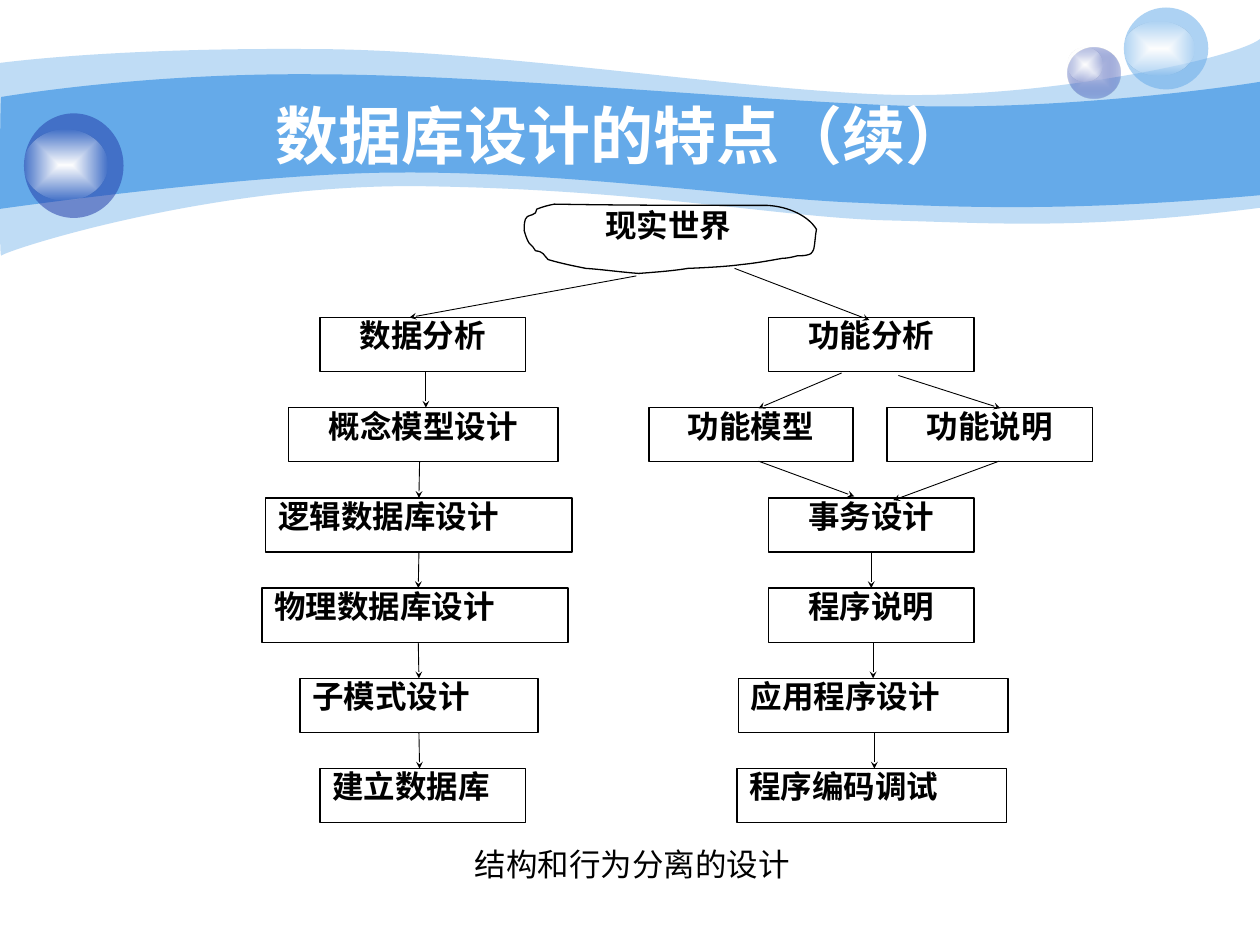
from lxml import etree
from pptx import Presentation
from pptx.dml.color import RGBColor
from pptx.enum.shapes import MSO_CONNECTOR as Conn, MSO_SHAPE as Shape
from pptx.enum.text import MSO_ANCHOR as Anchor, PP_ALIGN as Align
from pptx.oxml import parse_xml
from pptx.oxml.ns import qn
from pptx.util import Inches, Pt

BLUE = RGBColor(0x65, 0xAA, 0xE9)
NAVY = RGBColor(0x23, 0x3D, 0xA9)
LILAC = RGBColor(0xC7, 0xCE, 0xE9)
WHITE = RGBColor(0xFF, 0xFF, 0xFF)
BLACK = RGBColor(0, 0, 0)
DRAWING_NS = "http://schemas.openxmlformats.org/drawingml/2006/main"

# Curves: a start point, then cubic segments (six numbers) or straight ones (two).
OUTER_WAVE = ((0, 0.5), [
    (0.24, 0.47, 1.07, 0.38, 2.47, 0.39), (3.86, 0.39, 5.75, 0.7, 6.99, 0.75),
    (8.22, 0.8, 9.8, 0.47, 10, 0.31), (10, 1.65),
    (8.58, 1.83, 7.87, 1.77, 7.05, 1.75), (6.22, 1.73, 5.15, 1.51, 3.43, 1.48),
    (1.72, 1.44, 0.04, 1.99, 0.01, 2.03), (-0.01, 2.08, 0, 0.75, 0, 0.5)])
INNER_WAVE = ((0.01, 0.77), [
    (0.02, 0.77, 1.1, 0.58, 2.48, 0.59), (3.86, 0.59, 5.95, 0.8, 7.18, 0.84),
    (8.41, 0.88, 9.76, 0.69, 10, 0.65), (10, 1.55),
    (8.53, 1.68, 7.65, 1.65, 6.82, 1.61), (5.99, 1.58, 4.47, 1.36, 3.17, 1.37),
    (2.03, 1.37, -0.02, 1.66, -0.01, 1.66), (0, 1.66, 0, 0.77, 0.01, 0.77)])
CLOUD = ((4.26, 1.66), [
    (4.31, 1.64, 4.35, 1.63, 4.4, 1.62), (4.96, 1.63, 5.53, 1.63, 6.09, 1.63),
    (6.27, 1.64, 6.42, 1.72, 6.48, 1.82), (6.47, 1.87, 6.47, 1.92, 6.46, 1.97),
    (6.46, 1.98, 6.44, 2.02, 6.42, 2.02), (6.39, 2.03, 6.36, 2.03, 6.33, 2.03),
    (6.29, 2.04, 6.25, 2.05, 6.21, 2.05), (6.1, 2.07, 5.99, 2.09, 5.88, 2.1),
    (5.74, 2.12, 5.46, 2.13, 5.46, 2.13), (5.34, 2.15, 5.2, 2.16, 5.07, 2.17),
    (4.93, 2.16, 4.79, 2.14, 4.65, 2.13), (4.55, 2.11, 4.45, 2.09, 4.35, 2.06),
    (4.31, 2.02, 4.32, 2, 4.25, 1.99), (4.24, 1.98, 4.24, 1.97, 4.23, 1.96),
    (4.22, 1.95, 4.21, 1.94, 4.2, 1.93), (4.18, 1.9, 4.17, 1.86, 4.16, 1.83),
    (4.16, 1.8, 4.16, 1.77, 4.17, 1.74), (4.19, 1.7, 4.21, 1.72, 4.25, 1.69),
    (4.26, 1.68, 4.26, 1.67, 4.26, 1.66)])

ROW_TOP, ROW_PITCH, BOX_HEIGHT = 2.52, 0.716, 0.43
# Each box: text, row, left, width, alignment.
DATA_COLUMN = [
    ("数据分析", 0, 2.54, 1.63, Align.CENTER),
    ("概念模型设计", 1, 2.29, 2.14, Align.CENTER),
    ("逻辑数据库设计", 2, 2.11, 2.43, Align.JUSTIFY),
    ("物理数据库设计", 3, 2.08, 2.43, Align.JUSTIFY),
    ("子模式设计", 4, 2.38, 1.89, Align.JUSTIFY),
    ("建立数据库", 5, 2.54, 1.63, Align.JUSTIFY)]
DATA_ARROWS = [3.38, 3.33, 3.32, 3.32, 3.33]
FUNCTION_SPLIT = [
    ("功能分析", 0, 6.1, 1.63, Align.CENTER),
    ("功能模型", 1, 5.15, 1.62, Align.CENTER),
    ("功能说明", 1, 7.04, 1.63, Align.CENTER)]
FUNCTION_COLUMN = [
    ("事务设计", 2, 6.1, 1.63, Align.CENTER),
    ("程序说明", 3, 6.1, 1.63, Align.CENTER),
    ("应用程序设计", 4, 5.86, 2.14, Align.JUSTIFY),
    ("程序编码调试", 5, 5.85, 2.14, Align.JUSTIFY)]
FUNCTION_ARROWS = [6.92, 6.93, 6.94]
BRANCHES = [
    (5.05, 2.19, 3.25, 2.52), (5.83, 2.13, 6.9, 2.54),
    (6.68, 2.96, 6.02, 3.24), (7.13, 2.98, 7.94, 3.24),
    (6.02, 3.66, 6.78, 3.94), (7.93, 3.66, 7.09, 3.97)]


def add_outline(slide, start, segments):
    """Build a polygon through every point, then bend its sides into cubics."""
    points = [(Inches(x), Inches(y)) for seg in (start, *segments)
              for x, y in zip(seg[::2], seg[1::2])]
    builder = slide.shapes.build_freeform(*points[0])
    builder.add_line_segments(points[1:], close=True)
    sp = builder.convert_to_shape()
    sp.shadow.inherit = False
    sides = iter(list(sp.element.iter(qn("a:lnTo"))))
    for seg in segments:
        side = next(sides)
        if len(seg) == 6:
            side.addprevious(curve := etree.Element(qn("a:cubicBezTo")))
            for part in (side, next(sides), next(sides)):
                curve.append(part[0])
                part.getparent().remove(part)
    return sp


def fill_solid(sp, color, opacity=100):
    sp.fill.solid()
    sp.fill.fore_color.rgb = color
    sp.line.fill.background()
    if opacity < 100:
        clr = sp.element.spPr.find(qn("a:solidFill"))[0]
        etree.SubElement(clr, qn("a:alpha"), val=str(opacity * 1000))


def fill_glow(sp, inner, outer, opacity):
    """Fill from the centre outward, the outer colour at the given opacity."""
    sp.line.fill.background()
    sp.element.spPr.find(qn("a:prstGeom")).addnext(parse_xml(
        f'<a:gradFill xmlns:a="{DRAWING_NS}" rotWithShape="1"><a:gsLst>'
        f'<a:gs pos="0"><a:srgbClr val="{inner}"/></a:gs>'
        f'<a:gs pos="100000"><a:srgbClr val="{outer}">'
        f'<a:alpha val="{opacity * 1000}"/></a:srgbClr></a:gs></a:gsLst>'
        '<a:path path="rect"><a:fillToRect l="50000" t="50000" r="50000" b="50000"/>'
        '</a:path></a:gradFill>'))


def add_bubble(slide, body, shine):
    """Add an ellipse with a white shine on it; return the body to be filled."""
    ellipses = []
    for box in (body, shine):
        sp = slide.shapes.add_shape(Shape.OVAL, *map(Inches, box))
        sp.shadow.inherit = False
        ellipses.append(sp)
    fill_glow(ellipses[1], WHITE, WHITE, 0)
    return ellipses[0]


def draw_backdrop(slide):
    fill_solid(add_outline(slide, *OUTER_WAVE), BLUE, 41)
    fill_solid(add_outline(slide, *INNER_WAVE), BLUE)
    fill_glow(add_bubble(slide, (8.47, 0.38, 0.42, 0.4), (8.47, 0.38, 0.28, 0.27)),
              LILAC, NAVY, 31)
    fill_solid(add_bubble(slide, (8.92, 0.06, 0.67, 0.65), (8.92, 0.17, 0.56, 0.43)),
               BLUE, 53)
    fill_solid(add_bubble(slide, (0.19, 0.9, 0.79, 0.83), (0.19, 1.03, 0.66, 0.56)),
               NAVY, 53)


def write(sp, text, align, anchor=Anchor.TOP, spacing=0.8, wrap=True, color=BLACK, **font):
    tf = sp.text_frame
    tf.word_wrap, tf.vertical_anchor = wrap, anchor
    p = tf.paragraphs[0]
    p.alignment, p.line_spacing = align, spacing
    r = p.add_run()
    r.text = text
    r.font.color.rgb = color
    style = {"name": "Times New Roman", "size": Pt(18), "bold": True}
    for key, value in (style | font).items():
        setattr(r.font, key, value)


def place_title(slide, text, box):
    sp = slide.shapes.title
    sp.left, sp.top, sp.width, sp.height = map(Inches, box)
    write(sp, text, Align.CENTER, Anchor.MIDDLE, 1, color=WHITE, name="Arial", size=Pt(36))
    slide.shapes.element.append(sp.element)  # in front of the backdrop


def add_box(slide, text, row, left, width, align):
    top = ROW_TOP + row * ROW_PITCH
    sp = slide.shapes.add_shape(Shape.RECTANGLE, *map(Inches, (left, top, width, BOX_HEIGHT)))
    sp.shadow.inherit = False
    sp.fill.background()
    sp.line.color.rgb, sp.line.width = BLACK, Pt(0.75)
    write(sp, text, align)
    return sp


def add_arrow(slide, *ends):
    c = slide.shapes.add_connector(Conn.STRAIGHT, *ends)
    c.line.color.rgb, c.line.width = BLACK, Pt(0.5)
    ln = c.element.spPr.find(qn("a:ln"))
    etree.SubElement(ln, qn("a:tailEnd"), type="stealth", w="sm", len="sm")
    etree.SubElement(c.element.spPr, qn("a:effectLst"))
    return c


def draw_column(slide, specs, arrows):
    """Stack boxes with arrows between, joined where they meet a side's middle."""
    boxes = [add_box(slide, *s) for s in specs]
    for upper, lower, x in zip(boxes, boxes[1:], map(Inches, arrows)):
        c = add_arrow(slide, x, upper.top + upper.height, x, lower.top)
        for box, join, site in ((upper, c.begin_connect, 2), (lower, c.end_connect, 0)):
            if abs(box.left + box.width // 2 - x) < Inches(0.01):
                join(box, site)


def draw_text(slide, text, box, align, **style):
    write(slide.shapes.add_textbox(*map(Inches, box)), text, align, **style)


def draw_flow(slide):
    cloud = add_outline(slide, *CLOUD)
    cloud.fill.background()
    cloud.line.color.rgb, cloud.line.width = BLACK, Pt(0.75)
    draw_text(slide, "现实世界", (4.52, 1.64, 1.57, 0.51), Align.CENTER)
    draw_column(slide, DATA_COLUMN, DATA_ARROWS)
    for s in FUNCTION_SPLIT:
        add_box(slide, *s)
    draw_column(slide, FUNCTION_COLUMN, FUNCTION_ARROWS)
    for ends in BRANCHES:
        add_arrow(slide, *map(Inches, ends))


def main():
    prs = Presentation()
    prs.slide_width, prs.slide_height = Inches(10), Inches(7.5)
    slide = prs.slides.add_slide(prs.slide_layouts[5])
    draw_backdrop(slide)
    place_title(slide, "数据库设计的特点（续）", (0.9, 0.76, 8.08, 0.62))
    draw_flow(slide)
    draw_text(slide, "结构和行为分离的设计", (3.67, 6.66, 2.75, 0.4), Align.LEFT,
              anchor=Anchor.MIDDLE, spacing=1, wrap=False, bold=False)
    prs.save("out.pptx")


if __name__ == "__main__":
    main()
